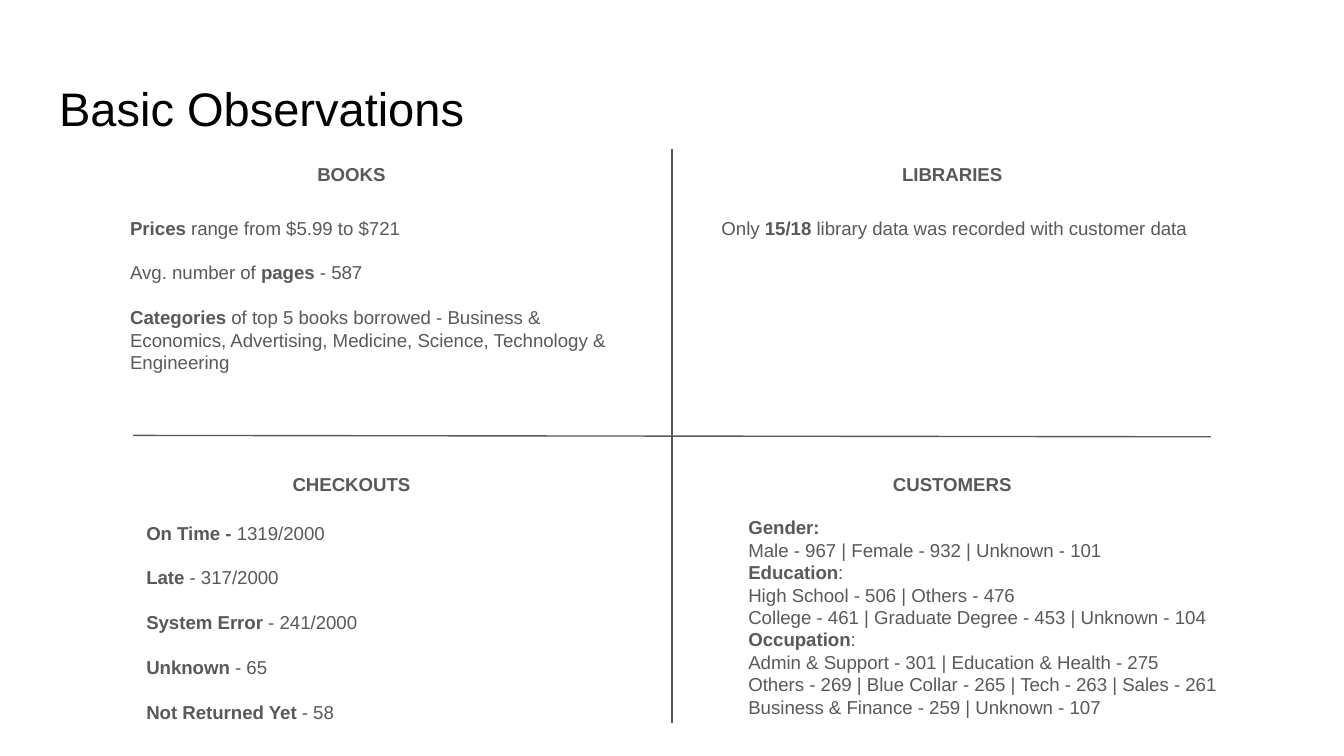
import pptx
import pptx.util
import pptx.dml.color
import pptx.enum.shapes
import pptx.enum.text
import pptx.oxml.ns
import lxml.etree

Inches, Pt = pptx.util.Inches, pptx.util.Pt
ALIGN = pptx.enum.text.PP_ALIGN
ANCHOR = pptx.enum.text.MSO_ANCHOR
FONT, BLACK, GRAY = "Arial", "000000", "595959"

TITLE = "Basic Observations"
HEADING_SIZE = (2.77, 0.31)

# Each line is a list of (text, bold) runs; "gap" is the space between lines in points.
QUADRANTS = [
    {"heading": "BOOKS", "heading_at": (1.23, 1.11), "body_at": (0.87, 1.51, 3.86, 1.52), "gap": 12,
     "lines": [
         [("Prices ", True), ("range from $5.99 to $721", False)],
         [("Avg. number of ", False), ("pages ", True), ("- 587", False)],
         [("Categories ", True),
          ("of top 5 books borrowed - Business & Economics, Advertising, Medicine, "
           "Science, Technology & Engineering", False)],
     ]},
    {"heading": "LIBRARIES", "heading_at": (5.7, 1.11), "body_at": (5.27, 1.51, 3.86, 1.52), "gap": 0,
     "lines": [
         [("Only ", False), ("15/18", True),
          (" library data was recorded with customer data", False)],
     ]},
    {"heading": "CHECKOUTS", "heading_at": (1.23, 3.42), "body_at": (0.99, 3.78, 3.86, 1.75), "gap": 12,
     "lines": [
         [("On Time - ", True), ("1319/2000", False)],
         [("Late", True), (" - 317/2000", False)],
         [("System Error", True), (" - 241/2000", False)],
         [("Unknown ", True), ("- 65", False)],
         [("Not Returned Yet", True), (" - 58", False)],
     ]},
    {"heading": "CUSTOMERS", "heading_at": (5.7, 3.42), "body_at": (5.47, 3.74, 3.86, 1.75), "gap": 0,
     "lines": [
         [("Gender:", True)],
         [("Male - 967 | Female - 932 | Unknown - 101", False)],
         [("Education", True), (":", False)],
         [("High School - 506 | Others - 476", False)],
         [("College - 461 | Graduate Degree - 453 | Unknown - 104", False)],
         [("Occupation", True), (":", False)],
         [("Admin & Support - 301 | Education & Health - 275", False)],
         [("Others - 269 | Blue Collar - 265 | Tech - 263 | Sales - 261", False)],
         [("Business & Finance - 259 | Unknown - 107", False)],
     ]},
]

DIVIDERS = [(5, 1.11, 5, 5.38), (0.99, 3.24, 9.01, 3.25)]


def set_color(color_format, value):
    color_format.rgb = pptx.dml.color.RGBColor.from_string(value)


def fill_text(box, lines, size, color, align=ALIGN.LEFT, gap=0, anchor=ANCHOR.TOP):
    """Format the box's frame and write one paragraph per line of runs."""
    frame = box.text_frame
    frame.word_wrap = True
    frame.auto_size = pptx.enum.text.MSO_AUTO_SIZE.NONE
    frame.vertical_anchor = anchor
    frame.margin_left = frame.margin_right = Inches(0.1)
    frame.margin_top = frame.margin_bottom = Inches(0.1)
    for index, runs in enumerate(lines):
        para = frame.add_paragraph() if index else frame.paragraphs[0]
        para.alignment = align
        para.line_spacing = 1.0
        para.space_before = Pt(gap if index else 0)
        para.space_after = Pt(0)
        for text, bold in runs:
            span = para.add_run()
            span.text = text
            span.font.name = FONT
            span.font.size = Pt(size)
            span.font.bold = bold
            set_color(span.font.color, color)


def add_divider(page, ends):
    line = page.shapes.add_connector(
        pptx.enum.shapes.MSO_CONNECTOR.STRAIGHT, *map(Inches, ends))
    set_color(line.line.color, GRAY)
    line.line.width = Pt(0.75)
    lxml.etree.SubElement(line._element.spPr, pptx.oxml.ns.qn("a:effectLst"))


def main():
    deck = pptx.Presentation()
    deck.slide_width = Inches(10)
    deck.slide_height = Inches(10 * 9 / 16)
    page = deck.slides.add_slide(deck.slide_layouts[5])

    title = page.shapes.title
    title.left, title.top, title.width, title.height = map(Inches, (0.34, 0.49, 9.32, 0.63))
    fill_text(title, [[(TITLE, False)]], 25.2, BLACK, anchor=ANCHOR.MIDDLE)

    for ends in DIVIDERS:
        add_divider(page, ends)

    for quadrant in QUADRANTS:
        heading = page.shapes.add_textbox(*map(Inches, quadrant["heading_at"] + HEADING_SIZE))
        fill_text(heading, [[(quadrant["heading"], True)]], 10, GRAY, ALIGN.CENTER)
        body = page.shapes.add_textbox(*map(Inches, quadrant["body_at"]))
        fill_text(body, quadrant["lines"], 10, GRAY, gap=quadrant["gap"])

    deck.save("out.pptx")


if __name__ == "__main__":
    main()
